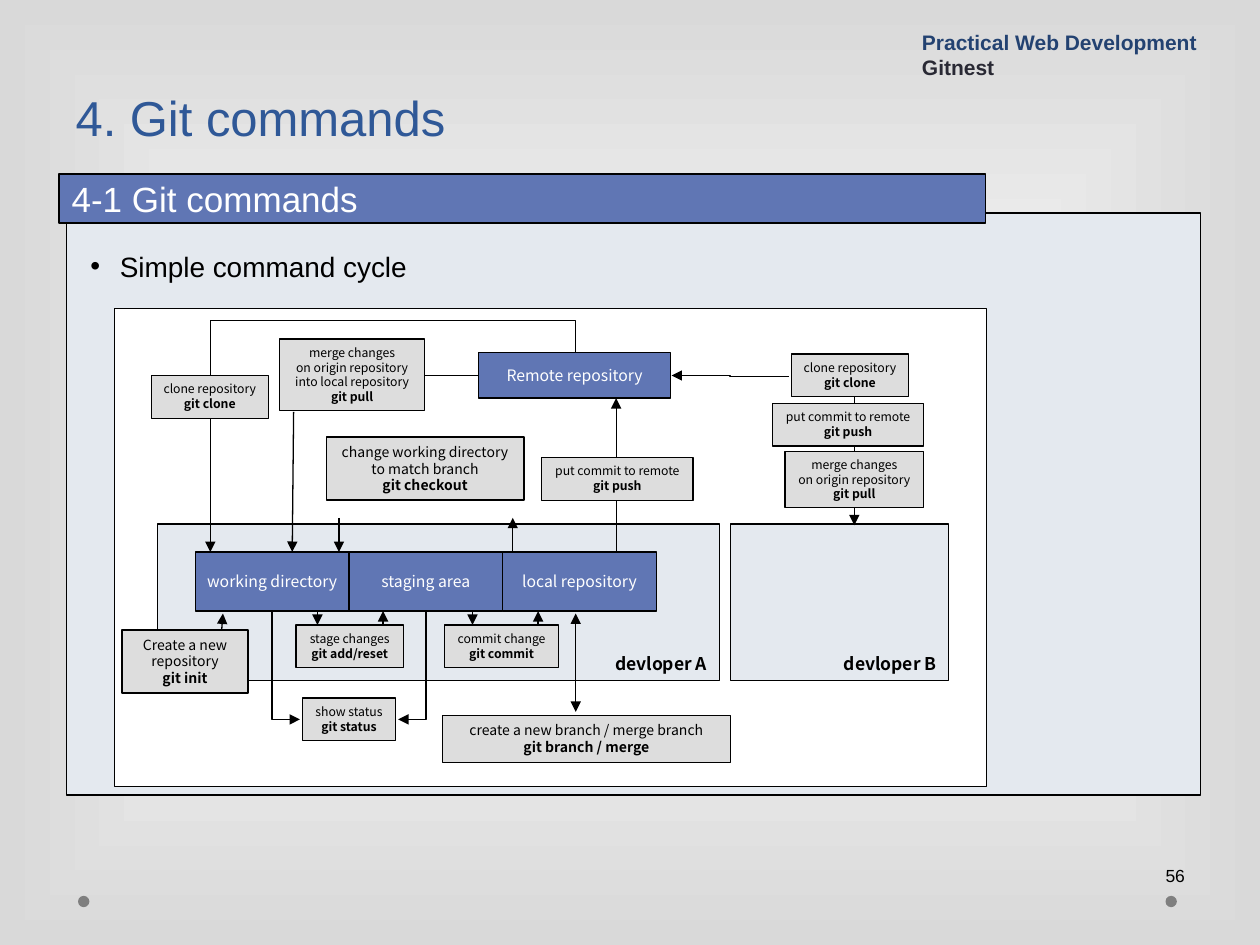
from lxml import etree
from pptx import Presentation
from pptx import util as u
from pptx.dml import color
from pptx.enum import shapes, text
from pptx.oxml import ns

BLACK = color.RGBColor(0x00, 0x00, 0x00)
WHITE = color.RGBColor(0xFF, 0xFF, 0xFF)
EDGE_GRAY = color.RGBColor(0xD9, 0xD9, 0xD9)
DOT_GRAY = color.RGBColor(0x7F, 0x7F, 0x7F)
LABEL_GRAY = color.RGBColor(0xDD, 0xDD, 0xDD)
PALE_BLUE = color.RGBColor(0xE4, 0xE9, 0xEF)
BLUE = color.RGBColor(0x60, 0x76, 0xB4)
TITLE_BLUE = color.RGBColor(0x2F, 0x58, 0x97)
NAVY = color.RGBColor(0x23, 0x42, 0x71)
CHARCOAL = color.RGBColor(0x29, 0x29, 0x34)

SANS, DIAGRAM_FONT = "Arial", "Noto Sans CJK JP"
LEFT, CENTER, RIGHT = text.PP_ALIGN.LEFT, text.PP_ALIGN.CENTER, text.PP_ALIGN.RIGHT
TOP, MIDDLE, BOTTOM = text.MSO_ANCHOR.TOP, text.MSO_ANCHOR.MIDDLE, text.MSO_ANCHOR.BOTTOM


def points(values):
    """Turn plain numbers into point lengths."""
    return [u.Pt(value) for value in values]


def add_element(parent, tag, **attributes):
    """Append a drawing element to a parent and return it."""
    return etree.SubElement(parent, ns.qn(tag), attributes)


def write_text(shape, lines, align=LEFT, anchor=TOP, wrap=False, grow=False, **common):
    """Fill a shape with (words, font overrides) lines."""
    frame = shape.text_frame
    frame.auto_size = text.MSO_AUTO_SIZE.SHAPE_TO_FIT_TEXT if grow else text.MSO_AUTO_SIZE.NONE
    frame.word_wrap = wrap
    frame.vertical_anchor = anchor
    for index, (words, overrides) in enumerate(lines):
        paragraph = frame.add_paragraph() if index else frame.paragraphs[0]
        paragraph.alignment = align
        run = paragraph.add_run()
        run.text = words
        values = {"name": SANS, "bold": False, "color": BLACK, **common, **overrides}
        run.font.color.rgb = values.pop("color")
        for name, value in values.items():
            setattr(run.font, name, value)
    return frame


def add_box(parent, box, fill, kind=shapes.MSO_SHAPE.RECTANGLE, outlined=True):
    """Add a flat filled shape at a box in points."""
    shape = parent.add_shape(kind, *points(box))
    shape.shadow.inherit = False
    shape.fill.solid()
    shape.fill.fore_color.rgb = fill
    if outlined:
        shape.line.color.rgb = BLACK
        shape.line.width = u.Pt(0.75)
    else:
        shape.line.fill.background()
    return shape


def add_line(parent, start, end, ends=("tailEnd",), kind=shapes.MSO_CONNECTOR.STRAIGHT):
    """Add a thin black connector with triangles at the named ends."""
    connector = parent.add_connector(kind, *points((*start, *end)))
    connector.line.color.rgb = BLACK
    connector.line.width = u.Pt(0.75)
    line = connector.element.spPr.find(ns.qn("a:ln"))
    for name in ends:
        add_element(line, f"a:{name}", type="triangle")
    add_element(connector.element.spPr, "a:effectLst")
    return connector


def add_upright_elbow(parent, start, end, ends=("tailEnd",), bend=None):
    """Add an elbow that leaves its start vertically, with one corner or a set bend."""
    middle_x, middle_y = (start[0] + end[0]) / 2, (start[1] + end[1]) / 2
    turned = [(middle_x + y - middle_y, middle_y - x + middle_x) for x, y in (start, end)]
    connector = add_line(parent, *turned, ends, shapes.MSO_CONNECTOR.ELBOW)
    properties = connector.element.spPr
    properties.find(ns.qn("a:xfrm")).set("rot", "5400000")
    geometry = properties.find(ns.qn("a:prstGeom"))
    if bend is None:
        geometry.set("prst", "bentConnector2")
    else:
        guides = geometry.find(ns.qn("a:avLst"))
        add_element(guides, "a:gd", name="adj1", fmla=f"val {round(bend * 100000)}")


def paint_background(slide):
    """Give the slide a white to gray gradient spreading from its centre."""
    fill = slide.background.fill
    fill.gradient()
    for stop, tint in zip(fill.gradient_stops, (WHITE, EDGE_GRAY)):
        stop.color.rgb = tint
    gradient = slide.element.find(f".//{ns.qn('a:gradFill')}")
    gradient.remove(gradient.find(ns.qn("a:lin")))
    rings = add_element(gradient, "a:path", path="rect")
    add_element(rings, "a:fillToRect", **dict.fromkeys("ltrb", "50000"))


def place_title(slide, box):
    """Move and format the title placeholder."""
    title = slide.shapes.title
    title.left, title.top, title.width, title.height = points(box)
    frame = write_text(title, [("4. Git commands", {})], anchor=BOTTOM, wrap=True,
                       size=u.Pt(28), color=TITLE_BLUE)
    frame.paragraphs[0].line_spacing = u.Pt(58)


def place_header(slide, box):
    """Write the course name and topic."""
    lines = [("Practical Web Development", {"color": NAVY}), ("Gitnest", {"color": CHARCOAL})]
    write_text(slide.shapes.add_textbox(*points(box)), lines, anchor=BOTTOM, wrap=True,
               size=u.Pt(12), bold=True)


def place_footer(slide, box):
    """Place the two footer dots and the page number."""
    left, top, width, height = box
    for x in (left, left + width - height):
        add_box(slide.shapes, (x, top, height, height), DOT_GRAY, shapes.MSO_SHAPE.OVAL, False)
    number = slide.shapes.add_textbox(*points((left + width - 8.7, top - 26.6, 20.2, 30.2)))
    write_text(number, [("56", {})], anchor=MIDDLE, size=u.Pt(10))
    number.text_frame.margin_left, number.text_frame.margin_right = points((2.2, 3.6))


def place_section(slide, box):
    """Place the content panel, its heading bar and the bullet."""
    left, top, width, height = box
    add_box(slide.shapes, box, PALE_BLUE)
    bar = add_box(slide.shapes, (left - 4.4, top - 22.3, 529.2, 28.1), BLUE)
    write_text(bar, [("4-1 Git commands", {})], anchor=MIDDLE, size=u.Pt(20), color=WHITE)
    body = slide.shapes.add_textbox(*points((left + 6.4, top + 17.3, width - 11.5, 38.2)))
    frame = write_text(body, [("Simple command cycle", {})], wrap=True, size=u.Pt(16))
    properties = frame.paragraphs[0]._p.get_or_add_pPr()
    properties.set("marL", str(u.Pt(16.8)))
    properties.set("indent", str(u.Pt(-16.8)))
    add_element(properties, "a:buFont", typeface=SANS)
    add_element(properties, "a:buChar", char="•")


def place_areas(group, origin):
    """Place the developer areas and the repositories."""
    x, y = origin
    for name, left, width in (("devloper A", 24.5, 321.1), ("devloper B", 352.1, 124.6)):
        area = add_box(group, (x + left, y + 123.1, width, 89.3), PALE_BLUE)
        write_text(area, [(name, {})], RIGHT, BOTTOM, name=DIAGRAM_FONT, size=u.Pt(10), bold=True)
    repositories = [("Remote repository", 208.1, 25.2, 109.4, 25.9)]
    for index, name in enumerate(("working directory", "staging area", "local repository")):
        repositories.append((name, 46.1 + index * 87.8, 139, 87.8, 33.8))
    for name, left, top, width, height in repositories:
        shape = add_box(group, (x + left, y + top, width, height), BLUE)
        write_text(shape, [(name, {})], CENTER, MIDDLE, name=DIAGRAM_FONT, size=u.Pt(9), color=WHITE)


def place_flows(group, origin):
    """Draw the connectors between repositories and commands."""
    def at(x, y):
        return origin[0] + x, origin[1] + y

    arrows = [((422.7, 113), (422.7, 123.8)), ((286.6, 85), (286.6, 51.1)),
              ((54.7, 61.2), (54.7, 139)), ((102.3, 59), (101.5, 139)),
              ((61.2, 183.6), (61.9, 174.2)), ((128.2, 119.5), (128.2, 139)),
              ((227.5, 139), (227.5, 119.5))]
    for shift in (0, 88.6):
        arrows.append(((115.9 + shift, 172.8), (115.9 + shift, 180.7)))
        arrows.append(((153.4 + shift, 180.7), (153.4 + shift, 172.8)))
    for start, end in arrows:
        add_line(group, at(*start), at(*end))
    for x, top, bottom in ((422.7, 49.7, 54), (422.7, 77, 81.4), (286.6, 108, 139)):
        add_line(group, at(x, top), at(x, bottom), ())
    add_line(group, at(263.5, 174.2), at(263.5, 230.4), ("headEnd", "tailEnd"))
    for start_x, end_x in ((90, 105.9), (177.9, 162)):
        add_upright_elbow(group, at(start_x, 172.8), at(end_x, 234.7))
    add_upright_elbow(group, at(263.5, 25.2), at(54.7, 38.2), (), -1.43)
    elbow = shapes.MSO_CONNECTOR.ELBOW
    add_line(group, at(385.2, 38.9), at(318.3, 38.2), kind=elbow)
    add_line(group, at(208.1, 38.2), at(177.1, 38.2), (), elbow)


def place_commands(group, origin):
    """Place the command labels, each ending in its bold command."""
    clone = ("clone repository", "git clone")
    push = ("put commit to remote", "git push")
    small, large = 7, 8
    commands = [
        (("stage changes", "git add/reset"), (103.7, 180.7, 61.2, 24.5), small, False),
        (("commit change", "git commit"), (188.7, 180.7, 64.8, 24.5), small, False),
        (("merge changes", "on origin repository into local repository", "git pull"),
         (94.3, 17.3, 82.8, 41), small, True),
        (("show status", "git status"), (107.3, 222.5, 53.3, 24.5), small, False),
        (("Create a new repository", "git init"), (4.3, 183.6, 72, 36), large, True),
        (("create a new branch / merge branch", "git branch / merge"),
         (187.2, 232.6, 164.9, 26.6), large, True),
        (("change working directory to match branch", "git checkout"),
         (121, 73.4, 113, 36), large, True),
        (clone, (386.7, 25.9, 67, 24.5), small, False),
        (push, (375.9, 54, 86.4, 24.5), small, False),
        (("merge changes", "on origin repository", "git pull"),
         (383.1, 81.4, 79.2, 32.4), small, False),
        (push, (244.1, 85, 86.4, 24.5), small, False),
        (clone, (20.9, 38.2, 67, 24.5), small, False),
    ]
    for words, (left, top, width, height), size, wrap in commands:
        label = add_box(group, (origin[0] + left, origin[1] + top, width, height), LABEL_GRAY)
        lines = [(line, {}) for line in words[:-1]] + [(words[-1], {"bold": True})]
        write_text(label, lines, CENTER, wrap=wrap, grow=True, name=DIAGRAM_FONT, size=u.Pt(size))


def place_diagram(slide, box):
    """Build the grouped command cycle diagram."""
    group = slide.shapes.add_group_shape().shapes
    add_box(group, box, WHITE)
    for place in (place_areas, place_flows, place_commands):
        place(group, box[:2])


def main():
    """Build and save the slide."""
    presentation = Presentation()
    presentation.slide_width, presentation.slide_height = points((720, 540))
    slide = presentation.slides.add_slide(presentation.slide_layouts[5])
    paint_background(slide)
    place_footer(slide, (44.6, 511.9, 627.9, 6.5))
    place_section(slide, (38.2, 121.7, 648, 332.6))
    place_title(slide, (36, 35.3, 648, 51.8))
    place_diagram(slide, (65.5, 176.4, 498.2, 272.9))
    place_header(slide, (519.8, 9.4, 199.4, 39.6))
    presentation.save("out.pptx")


if __name__ == "__main__":
    main()
